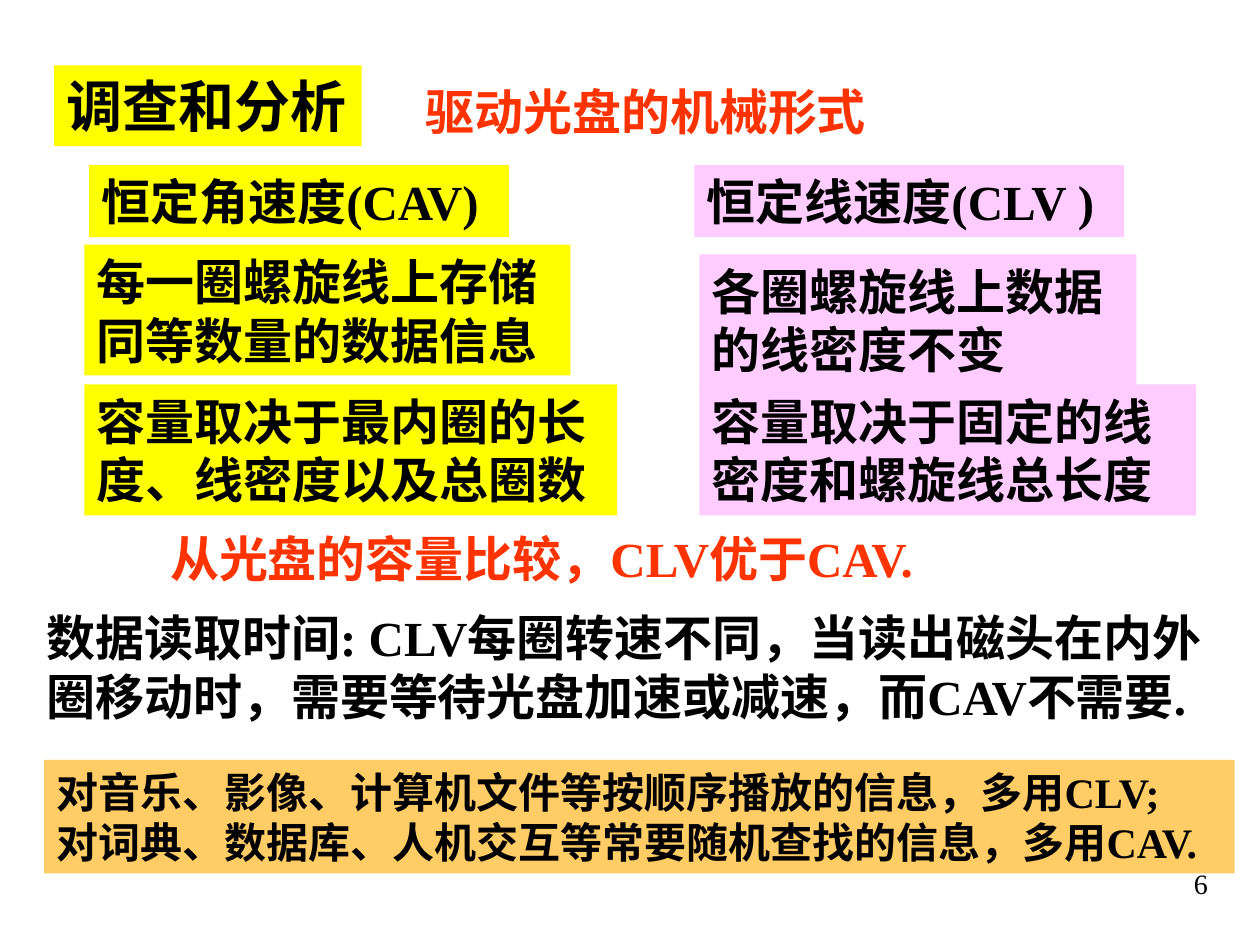
from dataclasses import dataclass

from pptx import Presentation
from pptx.dml.color import RGBColor
from pptx.enum.shapes import MSO_SHAPE
from pptx.enum.text import MSO_ANCHOR, MSO_AUTO_SIZE, PP_ALIGN
from pptx.util import Cm, Pt


@dataclass(frozen=True)
class Theme:
    font: str = "Times New Roman"
    ink: str = "000000"
    accent: str = "FF3300"
    yellow: str = "FFFF00"
    pink: str = "FFCCFF"
    orange: str = "FFCC66"
    title: int = 32
    body: int = 28
    closing: int = 24
    number: int = 16


theme = Theme()
deck = Presentation()
deck.slide_width, deck.slide_height = Cm(25.4), Cm(19.05)
slide = deck.slides.add_slide(deck.slide_layouts[6])


def add_text(box, lines, fill=None, size=theme.body, color=theme.ink,
             wrap=True, anchor=MSO_ANCHOR.MIDDLE, bold=True):
    """Place lines of text at box (left, top, width, height in cm)."""
    place = [Cm(length) for length in box]
    if fill:
        holder = slide.shapes.add_shape(MSO_SHAPE.RECTANGLE, *place)
        holder.shadow.inherit = False
        holder.fill.solid()
        holder.fill.fore_color.rgb = RGBColor.from_string(fill)
        holder.line.fill.background()
    else:
        holder = slide.shapes.add_textbox(*place)
    frame = holder.text_frame
    frame.word_wrap = wrap
    frame.auto_size = MSO_AUTO_SIZE.SHAPE_TO_FIT_TEXT
    frame.vertical_anchor = anchor
    for index, line in enumerate(lines):
        paragraph = frame.add_paragraph() if index else frame.paragraphs[0]
        paragraph.alignment = PP_ALIGN.LEFT
        run = paragraph.add_run()
        run.text = line
        run.font.name = theme.font
        run.font.size = Pt(size)
        run.font.bold = bold
        run.font.color.rgb = RGBColor.from_string(color)
    return frame


# Title and topic
add_text((1.09, 1.32, 6.2, 1.63), ["调查和分析"], theme.yellow, theme.title,
         anchor=MSO_ANCHOR.TOP)
add_text((8.33, 1.52, 9.5, 1.45), ["驱动光盘的机械形式"], color=theme.accent,
         wrap=False, anchor=MSO_ANCHOR.TOP)

# Two columns: heading, then two statements (left, top, width, text)
heading_height, statement_height = 1.45, 2.64
columns = [
    (theme.yellow, [
        (1.8, 3.33, 8.46, "恒定角速度(CAV)"),
        (1.7, 4.93, 9.8, "每一圈螺旋线上存储同等数量的数据信息"),
        (1.7, 7.75, 10.74, "容量取决于最内圈的长度、线密度以及总圈数"),
    ]),
    (theme.pink, [
        (14, 3.33, 8.66, "恒定线速度(CLV )"),
        (14.1, 5.13, 8.81, "各圈螺旋线上数据的线密度不变"),
        (14.1, 7.75, 10.01, "容量取决于固定的线密度和螺旋线总长度"),
    ]),
]
for fill, entries in columns:
    for row, (left, top, width, text) in enumerate(entries):
        height = statement_height if row else heading_height
        add_text((left, top, width, height), [text], fill, wrap=row > 0)

# Comparison of capacity and reading time
add_text((3.18, 10.52, 16.76, 1.45), ["从光盘的容量比较，CLV优于CAV."],
         color=theme.accent, wrap=False)
add_text((0.69, 11.53, 24.31, 3.81),
         ["数据读取时间: CLV每圈转速不同，当读出磁头在内外圈移动时，"
          "需要等待光盘加速或减速，而CAV不需要."])

# Typical uses
add_text((0.89, 15.32, 24, 2.29),
         ["对音乐、影像、计算机文件等按顺序播放的信息，多用CLV;",
          "对词典、数据库、人机交互等常要随机查找的信息，多用CAV."],
         theme.orange, theme.closing)

# Slide number
number = add_text((21.69, 17.07, 3.4, 1.27), ["6"], size=theme.number,
                  anchor=MSO_ANCHOR.TOP, bold=False)
number.margin_top, number.margin_right = Cm(0.39), Cm(0.74)
number.paragraphs[0].alignment = PP_ALIGN.RIGHT

deck.save("out.pptx")
